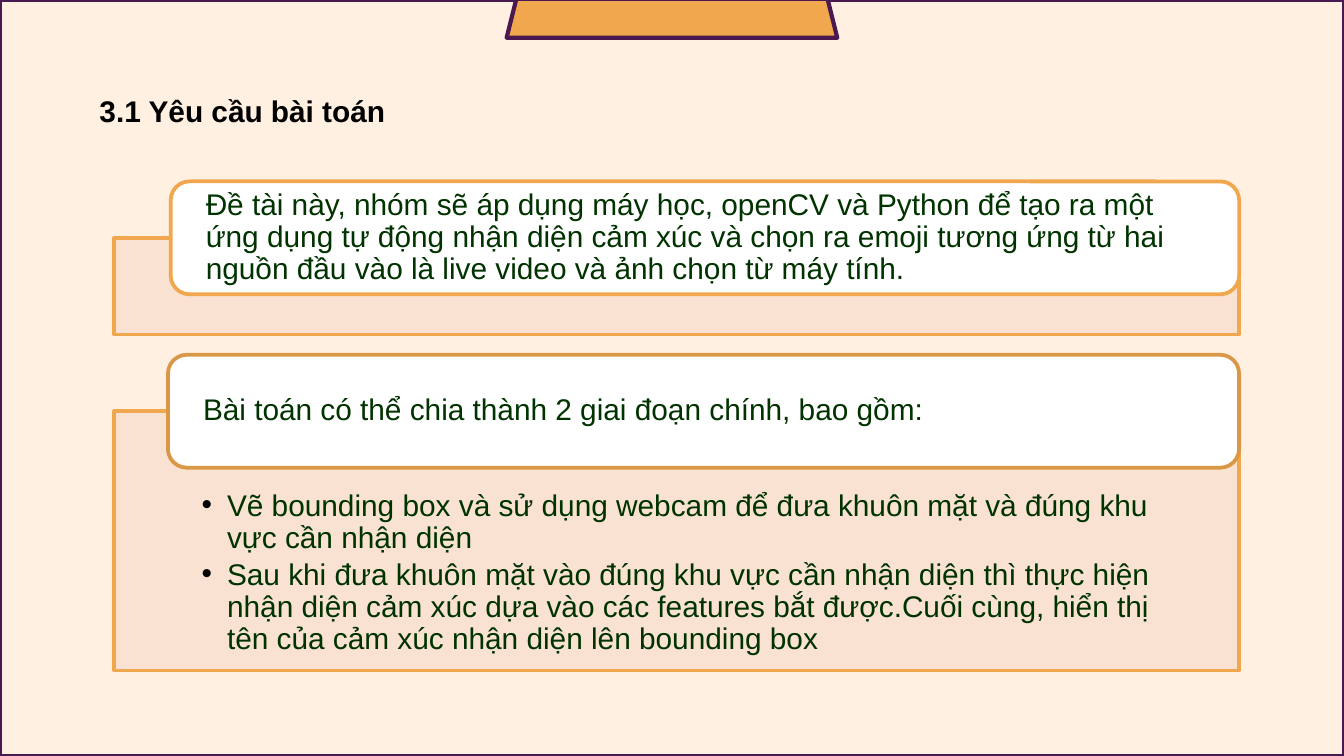
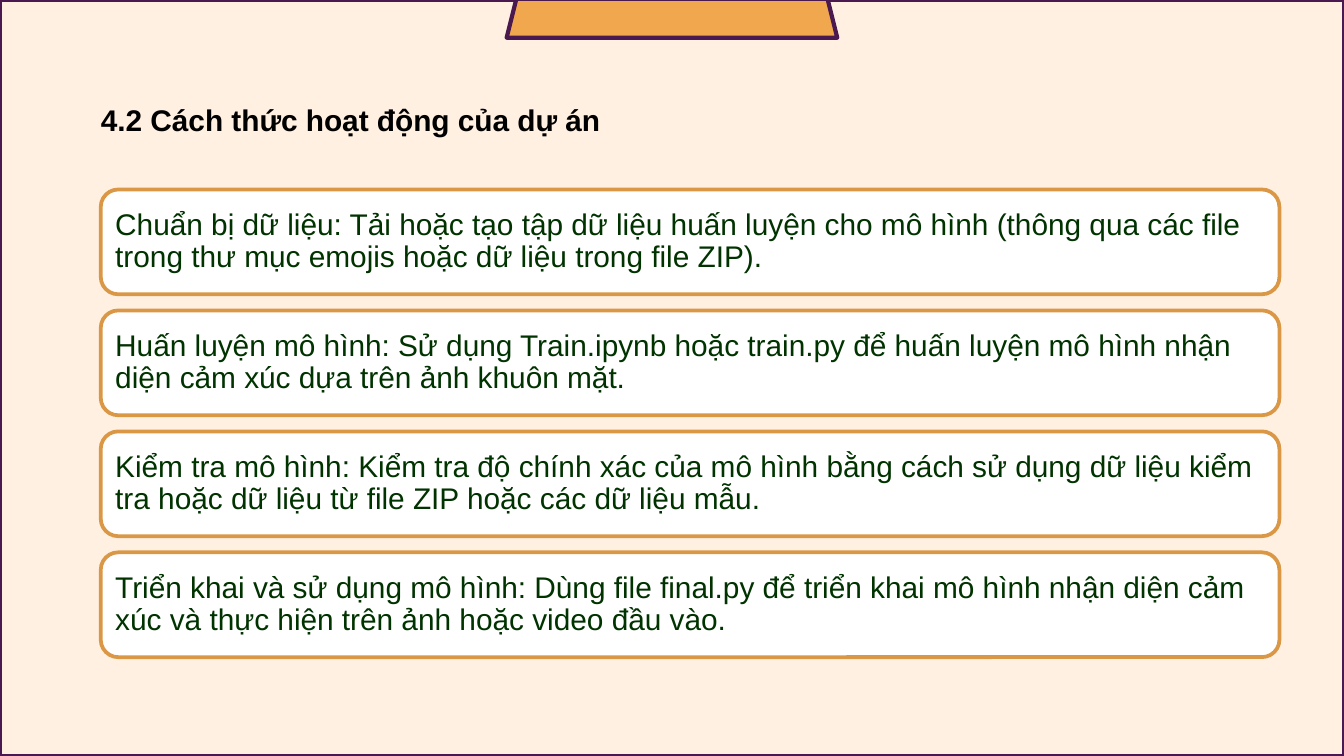
from lxml import etree
from pptx import Presentation
from pptx.dml.color import RGBColor
from pptx.enum.shapes import MSO_SHAPE
from pptx.enum.text import MSO_ANCHOR, MSO_AUTO_SIZE, PP_ALIGN
from pptx.oxml.ns import qn
from pptx.util import Inches, Pt

RECTANGLE = MSO_SHAPE.RECTANGLE
ROUNDED = MSO_SHAPE.ROUNDED_RECTANGLE
TRAPEZOID = MSO_SHAPE.TRAPEZOID
TOP, MIDDLE = MSO_ANCHOR.TOP, MSO_ANCHOR.MIDDLE
LEFT = PP_ALIGN.LEFT
FIXED = MSO_AUTO_SIZE.NONE

PAGE_WIDTH = 10
PAGE_HEIGHT = PAGE_WIDTH * 9 / 16
FONT = "Arial"
SIZE = 16
CREAM, PEACH, WHITE = "FFF0E1", "F9E1D0", "FFFFFF"
PURPLE, ORANGE, OCHRE = "49194F", "F0A74D", "DA9846"
BLACK, GREEN = "000000", "003300"

REQUIREMENTS_TITLE = "3.1 Yêu cầu bài toán"
# Each section: panel top and height, card left and top, card outline, heading, bullets
REQUIREMENTS = [
    (1.77, 0.72, 1.27, 1.35, ORANGE,
     "Đề tài này, nhóm sẽ áp dụng máy học, openCV và Python để tạo ra một ứng dụng "
     "tự động nhận diện cảm xúc và chọn ra emoji tương ứng từ hai nguồn đầu vào là "
     "live video và ảnh chọn từ máy tính.",
     []),
    (3.06, 1.93, 1.25, 2.64, OCHRE,
     "Bài toán có thể chia thành 2 giai đoạn chính, bao gồm:",
     ["Vẽ bounding box và sử dụng webcam để đưa khuôn mặt và đúng khu vực cần nhận diện",
      "Sau khi đưa khuôn mặt vào đúng khu vực cần nhận diện thì thực hiện nhận diện "
      "cảm xúc dựa vào các features bắt được.Cuối cùng, hiển thị tên của cảm xúc "
      "nhận diện lên bounding box"]),
]
PANEL_LEFT, PANEL_WIDTH, HEADING_HEIGHT = 0.85, 8.37, 0.84

STEPS_TITLE = "4.2 Cách thức hoạt động của dự án"
STEPS = [
    "Chuẩn bị dữ liệu: Tải hoặc tạo tập dữ liệu huấn luyện cho mô hình (thông qua các "
    "file trong thư mục emojis hoặc dữ liệu trong file ZIP).",
    "Huấn luyện mô hình: Sử dụng Train.ipynb hoặc train.py để huấn luyện mô hình nhận "
    "diện cảm xúc dựa trên ảnh khuôn mặt.",
    "Kiểm tra mô hình: Kiểm tra độ chính xác của mô hình bằng cách sử dụng dữ liệu kiểm "
    "tra hoặc dữ liệu từ file ZIP hoặc các dữ liệu mẫu.",
    "Triển khai và sử dụng mô hình: Dùng file final.py để triển khai mô hình nhận diện "
    "cảm xúc và thực hiện trên ảnh hoặc video đầu vào.",
]
STEP_LEFT, STEP_TOP, STEP_WIDTH, STEP_HEIGHT, STEP_PITCH = 0.75, 1.41, 8.77, 0.78, 0.9


def color(value):
    return RGBColor.from_string(value)


def add_box(page, kind, left, top, width, height, fill, line, weight=2):
    box = page.shapes.add_shape(kind, *map(Inches, (left, top, width, height)))
    box.shadow.inherit = False
    if fill:
        box.fill.solid()
        box.fill.fore_color.rgb = color(fill)
    else:
        box.fill.background()
    box.line.color.rgb = color(line)
    box.line.width = Pt(weight)
    return box


def set_frame(box, insets, anchor):
    frame = box.text_frame
    frame.word_wrap = True
    frame.auto_size = FIXED
    frame.vertical_anchor = anchor
    (frame.margin_left, frame.margin_top,
     frame.margin_right, frame.margin_bottom) = map(Inches, insets)
    return frame


def style_paragraph(para, ink, spacing, after, bold=False):
    para.alignment = LEFT
    para.line_spacing = spacing
    para.space_before = Pt(0)
    para.space_after = Pt(after)
    para.font.name = FONT
    para.font.size = Pt(SIZE)
    para.font.bold = bold
    para.font.color.rgb = color(ink)


def add_bullet(para):
    properties = para._p.get_or_add_pPr()
    properties.set("marL", str(Inches(0.19)))
    properties.set("indent", str(Inches(-0.19)))
    bullet_color = etree.SubElement(properties, qn("a:buClr"))
    etree.SubElement(bullet_color, qn("a:srgbClr"), val=BLACK)
    etree.SubElement(properties, qn("a:buFont"), typeface=FONT)
    etree.SubElement(properties, qn("a:buChar"), char="•")


def add_card(page, left, top, width, height, line, text, insets):
    card = add_box(page, ROUNDED, left, top, width, height, WHITE, line)
    frame = set_frame(card, insets, MIDDLE)
    frame.text = text
    style_paragraph(frame.paragraphs[0], GREEN, 0.9, 5.6)


def add_panel(page, top, height, bullets):
    panel = add_box(page, RECTANGLE, PANEL_LEFT, top, PANEL_WIDTH, height, PEACH, ORANGE)
    fill_color = panel.fill._xPr.find(qn("a:solidFill")).find(qn("a:srgbClr"))
    etree.SubElement(fill_color, qn("a:alpha"), val="90000")
    if bullets:
        frame = set_frame(panel, (0.65, 0.59, 0.65, 0.12), TOP)
        frame.text = "\n".join(bullets)
        for para in frame.paragraphs:
            para.level = 1
            add_bullet(para)
            style_paragraph(para, GREEN, 0.9, 2.4)


def add_page(deck, title, left, top):
    """Add a slide with the shared background, frame, top tab and title."""
    page = deck.slides.add_slide(deck.slide_layouts[5])
    page.background.fill.solid()
    page.background.fill.fore_color.rgb = color(CREAM)
    add_box(page, RECTANGLE, 0, 0, PAGE_WIDTH, PAGE_HEIGHT, None, PURPLE, 2.25)
    tab = add_box(page, TRAPEZOID, 3.77, -0.01, 2.46, 0.29, ORANGE, PURPLE, 2.25)
    tab.adjustments[0] = 0.25

    heading = page.shapes.title
    heading.left, heading.top = Inches(left), Inches(top)
    heading.width, heading.height = Inches(4.39), Inches(0.63)
    frame = set_frame(heading, (0.1,) * 4, TOP)
    frame.text = title
    style_paragraph(frame.paragraphs[0], BLACK, 1.15, 8, bold=True)
    return page


def build_requirements(deck):
    page = add_page(deck, REQUIREMENTS_TITLE, 0.64, 0.55)
    right = PANEL_LEFT + PANEL_WIDTH
    for top, height, card_left, card_top, line, text, bullets in REQUIREMENTS:
        add_panel(page, top, height, bullets)
        add_card(page, card_left, card_top, right - card_left, HEADING_HEIGHT,
                 line, text, (0.22, 0, 0.22, 0))


def build_steps(deck):
    page = add_page(deck, STEPS_TITLE, 0.65, 0.62)
    for index, text in enumerate(STEPS):
        add_card(page, STEP_LEFT, STEP_TOP + index * STEP_PITCH, STEP_WIDTH, STEP_HEIGHT,
                 OCHRE, text, (0.07,) * 4)


def main():
    deck = Presentation()
    deck.slide_width, deck.slide_height = Inches(PAGE_WIDTH), Inches(PAGE_HEIGHT)
    build_requirements(deck)
    build_steps(deck)
    deck.save("out.pptx")


if __name__ == "__main__":
    main()
